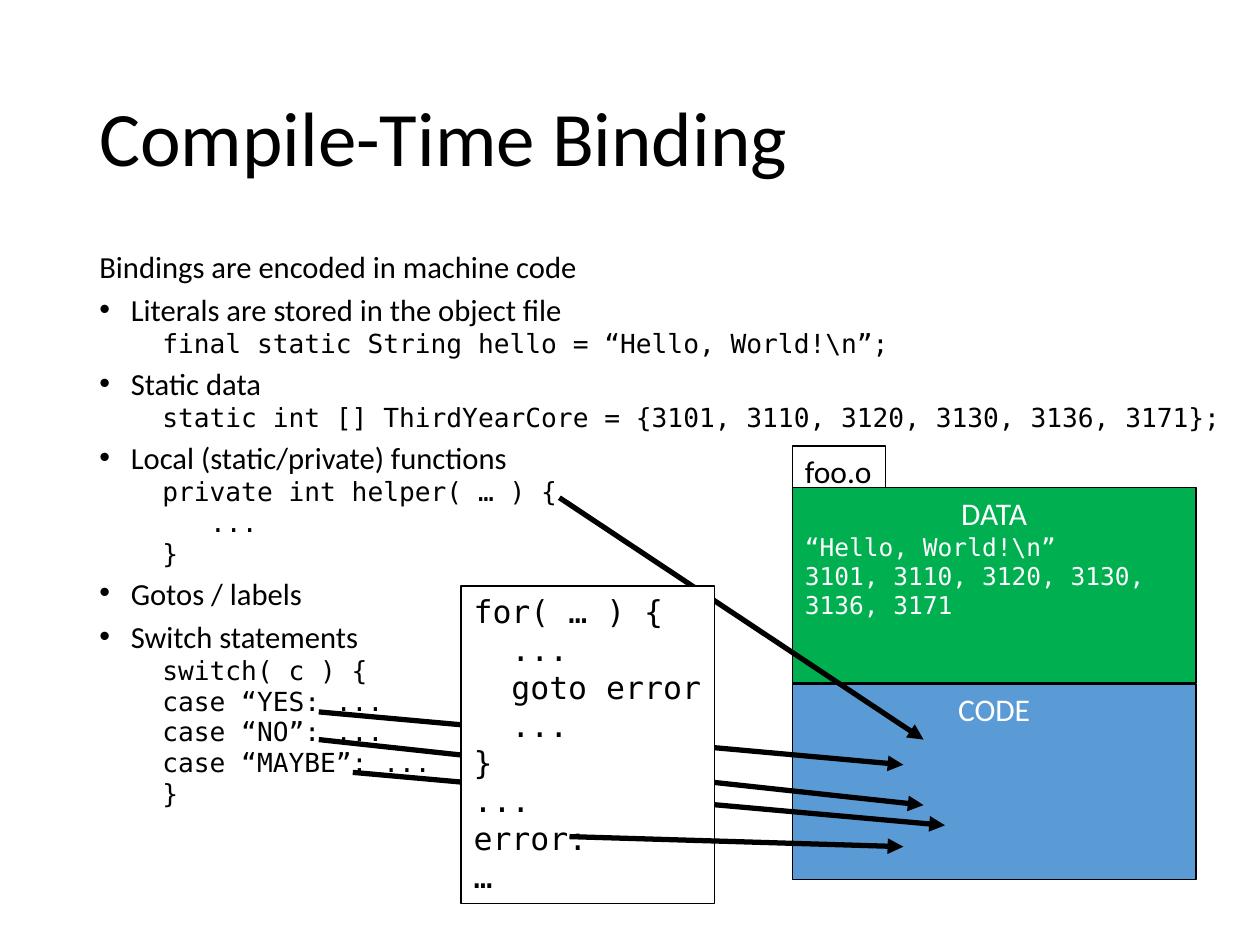
from dataclasses import dataclass

from lxml.etree import SubElement
from pptx import Presentation
from pptx.dml.color import RGBColor
from pptx.enum.shapes import MSO_CONNECTOR as Connector, MSO_SHAPE as Shape
from pptx.enum.text import MSO_ANCHOR as Anchor, PP_ALIGN as Align
from pptx.oxml.ns import qn
from pptx.util import Inches, Pt

BLACK = RGBColor(0x00, 0x00, 0x00)
WHITE = RGBColor(0xFF, 0xFF, 0xFF)
GREEN = RGBColor(0x00, 0xB0, 0x50)
BLUE = RGBColor(0x5B, 0x9B, 0xD5)
SANS, MONO = "Calibri", "DejaVu Sans Mono"


@dataclass
class Line:
    """One paragraph with its look; indent is in inches."""
    text: str
    size: float = 18
    font: str = SANS
    color: RGBColor = BLACK
    align: Align = Align.LEFT
    spacing: float = 1.0
    before: float = 0
    indent: float = 0
    bullet: bool = False


class BindingSlide:
    def __init__(self, slide):
        self.shapes = slide.shapes

    def set_lines(self, frame, lines, wrap=True, anchor=Anchor.TOP):
        frame.word_wrap = wrap
        frame.vertical_anchor = anchor
        for number, line in enumerate(lines):
            paragraph = frame.add_paragraph() if number else frame.paragraphs[0]
            paragraph.text = line.text
            paragraph.alignment = line.align
            paragraph.line_spacing = line.spacing
            paragraph.space_before = Pt(line.before)
            font = paragraph.runs[0].font
            font.size, font.name = Pt(line.size), line.font
            font.color.rgb = line.color
            properties = paragraph._p.get_or_add_pPr()
            properties.set("marL", str(Inches(line.indent)))
            properties.set("indent", str(-Inches(line.indent) if line.bullet else 0))
            if line.bullet:
                SubElement(properties, qn("a:buFont"), typeface="Arial")
                SubElement(properties, qn("a:buChar"), char="•")

    def text(self, left, top, width, height, lines, anchor=Anchor.TOP):
        box = self.shapes.add_textbox(*map(Inches, (left, top, width, height)))
        self.set_lines(box.text_frame, lines, anchor=anchor)

    def box(self, left, top, width, height, lines, fill=None, border=1, wrap=True):
        box = self.shapes.add_shape(
            Shape.RECTANGLE, *map(Inches, (left, top, width, height)))
        box.shadow.inherit = False
        if fill is None:
            box.fill.background()
        else:
            box.fill.solid()
            box.fill.fore_color.rgb = fill
        box.line.color.rgb, box.line.width = BLACK, Pt(border)
        self.set_lines(box.text_frame, lines, wrap)

    def arrow(self, start, end):
        arrow = self.shapes.add_connector(
            Connector.STRAIGHT, *map(Inches, (*start, *end)))
        arrow.line.color.rgb, arrow.line.width = BLACK, Pt(3)
        properties = arrow._element.spPr
        SubElement(properties.find(qn("a:ln")), qn("a:tailEnd"), type="triangle")
        SubElement(properties, qn("a:effectLst"))


def point(text, bullet=True):
    return Line(text, 17.5, spacing=0.7, before=10,
                indent=0.25 if bullet else 0, bullet=bullet)


def code(text, indent=0.5):
    return Line(text, 15, MONO, spacing=0.7, before=5, indent=indent)


def heading(text):
    return Line(text, color=WHITE, align=Align.CENTER)


def data(text):
    return Line(text, 14, MONO, WHITE)


def loop(text, indent=0):
    return Line(text, 18, MONO, indent=indent)


presentation = Presentation()
presentation.slide_width, presentation.slide_height = Inches(10), Inches(7.5)
slide = BindingSlide(presentation.slides.add_slide(presentation.slide_layouts[6]))

# Object file name, behind its sections
OBJECT_LEFT, SECTION_TOP, SECTION_WIDTH, SECTION_HEIGHT = 6.29, 3.87, 3.2, 1.55
slide.box(OBJECT_LEFT, 3.54, 0.74, 0.4, [Line("foo.o")], border=0.75, wrap=False)

# Title and explanation
slide.text(0.69, 0.4, 8.62, 1.45,
           [Line("Compile-Time Binding", 44, spacing=0.9)], Anchor.MIDDLE)
slide.text(0.69, 2, 9.14, 4.76, [
    point("Bindings are encoded in machine code", bullet=False),
    point("Literals are stored in the object file"),
    code("final static String hello = “Hello, World!\\n”;"),
    point("Static data"),
    code("static int [] ThirdYearCore = {3101, 3110, 3120, 3130, 3136, 3171};"),
    point("Local (static/private) functions"),
    code("private int helper( … ) {"),
    code("...", indent=0.88),
    code("}"),
    point("Gotos / labels"),
    point("Switch statements"),
    code("switch( c ) {"),
    code("case “YES: ..."),
    code("case “NO”: ..."),
    code("case “MAYBE”: ..."),
    code("}"),
])

# Sections of the object file
sections = [
    (GREEN, [heading("DATA"), data("“Hello, World!\\n”"),
             data("3101, 3110, 3120, 3130, 3136, 3171")]),
    (BLUE, [heading("CODE")]),
]
for row, (fill, lines) in enumerate(sections):
    slide.box(OBJECT_LEFT, SECTION_TOP + row * (SECTION_HEIGHT + 0.01),
              SECTION_WIDTH, SECTION_HEIGHT, lines, fill)

# Bindings of the switch cases and the helper function
for start, end in [
    ((2.53, 5.65), (7.17, 6.07)),
    ((2.53, 5.87), (7.33, 6.39)),
    ((2.8, 6.13), (7.5, 6.55)),
    ((4.44, 3.95), (7.33, 5.87)),
]:
    slide.arrow(start, end)

# Loop with a goto, and the binding of its label
slide.box(3.66, 4.65, 2.01, 2.52, [
    loop("for( … ) {"),
    loop("...", indent=0.3),
    loop("goto error", indent=0.3),
    loop("...", indent=0.3),
    loop("}"),
    loop("..."),
    loop("error:"),
    loop("…"),
], WHITE, border=0.75, wrap=False)
slide.arrow((4.52, 6.64), (7.17, 6.72))

presentation.save("out.pptx")
